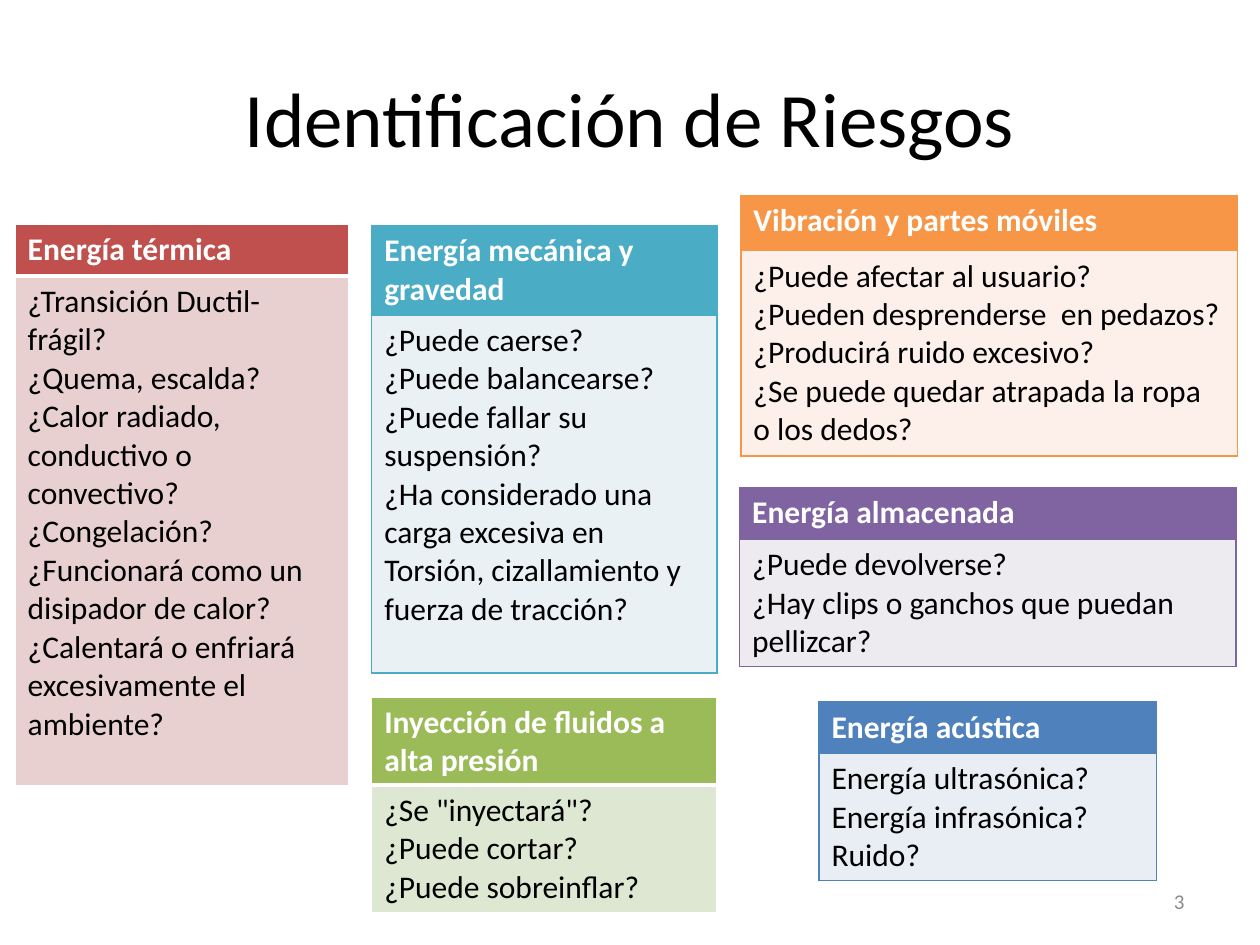
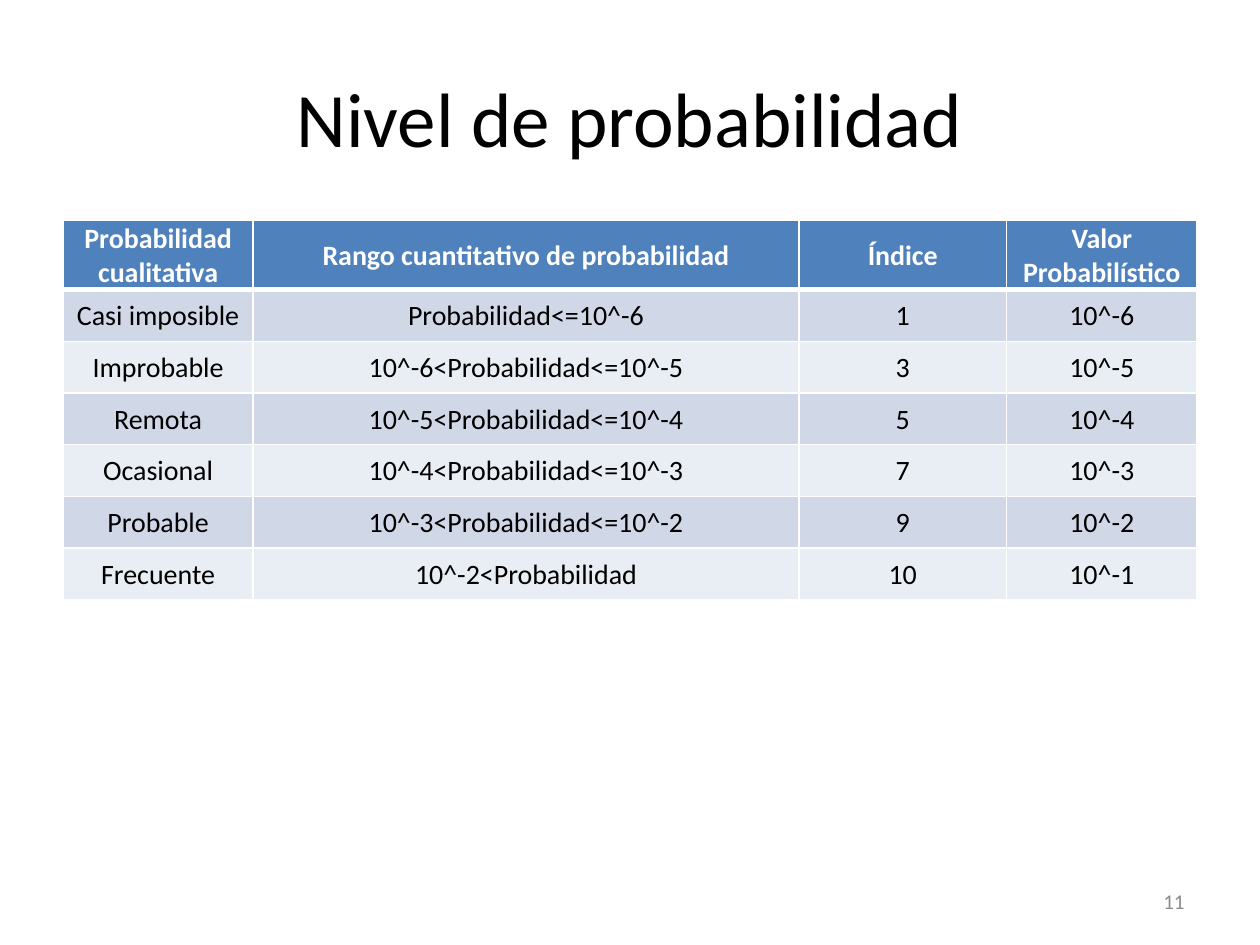
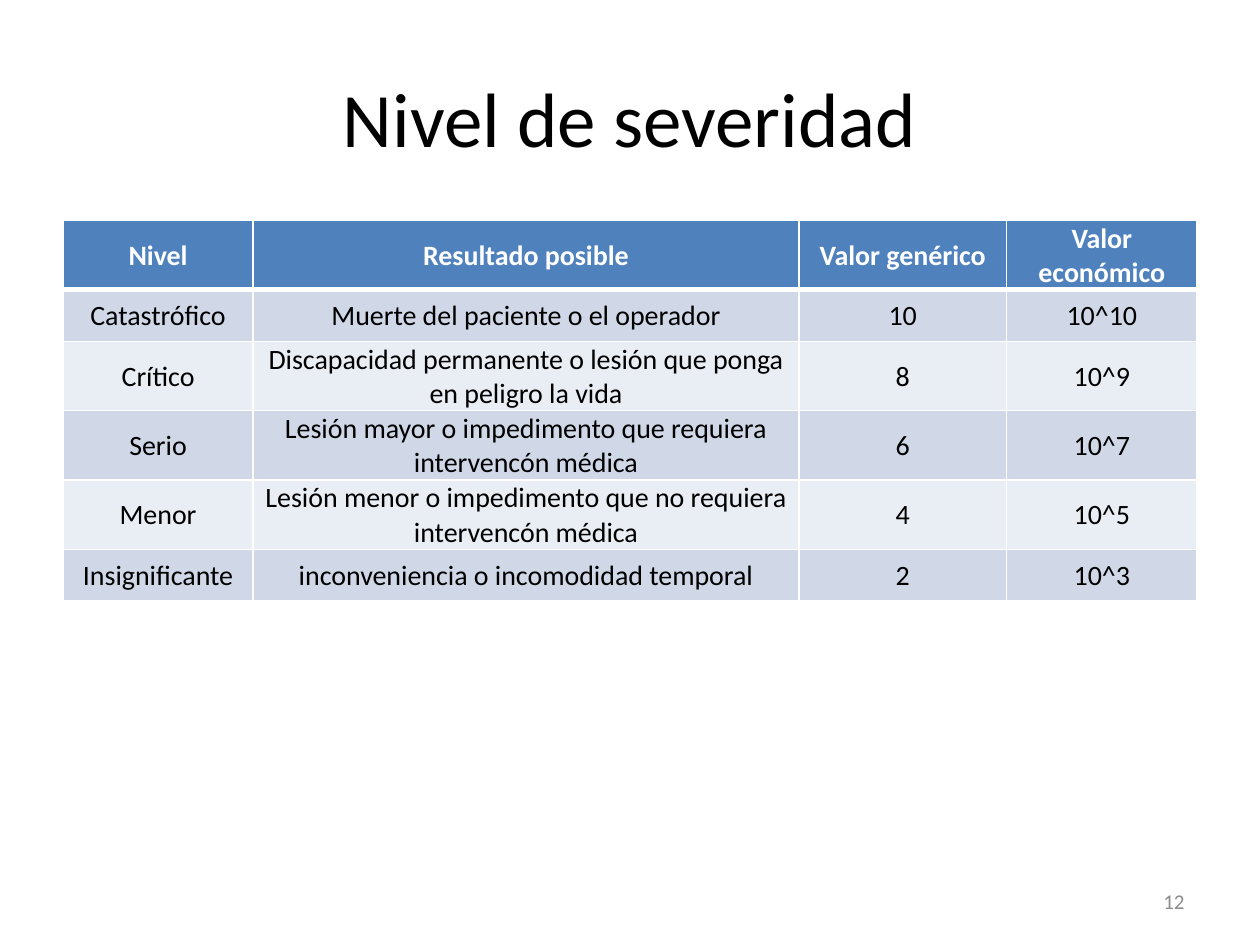
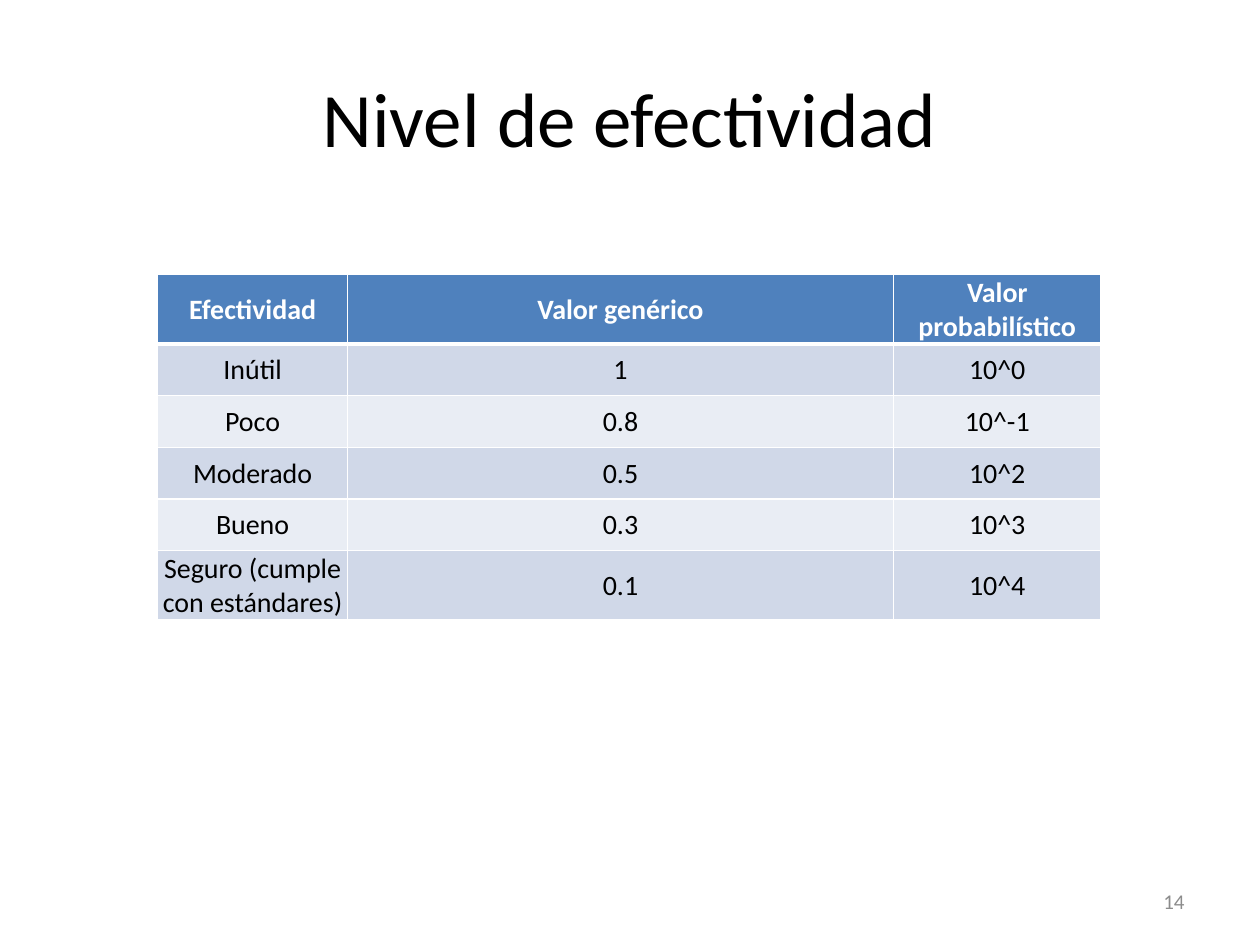
from lxml.etree import SubElement
from pptx import Presentation
from pptx.dml.color import RGBColor
from pptx.enum.text import MSO_ANCHOR, PP_ALIGN
from pptx.oxml.ns import qn
from pptx.util import Inches, Pt

FONT = "Calibri"
BLACK = RGBColor(0x00, 0x00, 0x00)
WHITE = RGBColor(0xFF, 0xFF, 0xFF)
GRAY = RGBColor(0x8C, 0x8C, 0x8C)
RED = RGBColor(0xC0, 0x50, 0x4D)
PALE_RED = RGBColor(0xE8, 0xD0, 0xD0)
TEAL = RGBColor(0x4B, 0xAC, 0xC6)
PALE_TEAL = RGBColor(0xE9, 0xF1, 0xF5)
ORANGE = RGBColor(0xF7, 0x96, 0x46)
PALE_ORANGE = RGBColor(0xFD, 0xEF, 0xE9)
PURPLE = RGBColor(0x80, 0x64, 0xA2)
PALE_PURPLE = RGBColor(0xED, 0xEA, 0xF0)
GREEN = RGBColor(0x9B, 0xBB, 0x59)
PALE_GREEN = RGBColor(0xDE, 0xE7, 0xD1)
BLUE = RGBColor(0x4F, 0x81, 0xBD)
LIGHT_BLUE = RGBColor(0xD0, 0xD8, 0xE8)
PALE_BLUE = RGBColor(0xE9, 0xED, 0xF4)

TITLE_ONLY_LAYOUT = 5
LEVEL_COLUMNS = [1.51, 4.33, 1.65, 1.51]
HEADER_HEIGHT = 0.55
ROW_HEIGHT = 0.41
TALL_ROW_HEIGHT = 0.55

RISK_CARDS = [
    (0.12, 1.78, 2.65, 0.41, 4.05, RED, PALE_RED, WHITE, "Energía térmica", [
        "¿Transición Ductil-frágil?",
        "¿Quema, escalda?",
        "¿Calor radiado, conductivo o convectivo? ¿Congelación?",
        "¿Funcionará como un disipador de calor?",
        "¿Calentará o enfriará excesivamente el ambiente?",
    ]),
    (2.95, 1.79, 2.74, 0.71, 2.84, TEAL, PALE_TEAL, TEAL, "Energía mecánica y gravedad", [
        "¿Puede caerse?",
        "¿Puede balancearse?",
        "¿Puede fallar su suspensión?",
        "¿Ha considerado una carga excesiva en Torsión, cizallamiento y fuerza de tracción?",
    ]),
    (5.88, 1.55, 3.94, 0.44, 1.63, ORANGE, PALE_ORANGE, ORANGE, "Vibración y partes móviles", [
        "¿Puede afectar al usuario?",
        "¿Pueden desprenderse  en pedazos?",
        "¿Producirá ruido excesivo?",
        "¿Se puede quedar atrapada la ropa o los dedos?",
    ]),
    (5.87, 3.87, 3.94, 0.41, 1.01, PURPLE, PALE_PURPLE, PURPLE, "Energía almacenada", [
        "¿Puede devolverse?",
        "¿Hay clips o ganchos que puedan pellizcar?",
    ]),
    (6.5, 5.57, 2.68, 0.41, 1.01, BLUE, PALE_BLUE, BLUE, "Energía acústica", [
        "Energía ultrasónica?",
        "Energía infrasónica?",
        "Ruido?",
    ]),
    (2.95, 5.53, 2.74, 0.7, 1.01, GREEN, PALE_GREEN, WHITE, "Inyección de fluidos a alta presión", [
        '¿Se "inyectará"?',
        "¿Puede cortar?",
        "¿Puede sobreinflar?",
    ]),
]

PROBABILITY_ROWS = [
    ["Probabilidad cualitativa", "Rango cuantitativo de probabilidad", "Índice", "Valor Probabilístico"],
    ["Casi imposible", "Probabilidad<=10^-6", "1", "10^-6"],
    ["Improbable", "10^-6<Probabilidad<=10^-5", "3", "10^-5"],
    ["Remota", "10^-5<Probabilidad<=10^-4", "5", "10^-4"],
    ["Ocasional", "10^-4<Probabilidad<=10^-3", "7", "10^-3"],
    ["Probable", "10^-3<Probabilidad<=10^-2", "9", "10^-2"],
    ["Frecuente", "10^-2<Probabilidad", "10", "10^-1"],
]

SEVERITY_ROWS = [
    ["Nivel", "Resultado posible", "Valor genérico", "Valor económico"],
    ["Catastrófico", "Muerte del paciente o el operador", "10", "10^10"],
    ["Crítico", "Discapacidad permanente o lesión que ponga en peligro la vida", "8", "10^9"],
    ["Serio", "Lesión mayor o impedimento que requiera intervencón médica", "6", "10^7"],
    ["Menor", "Lesión menor o impedimento que no requiera intervencón médica", "4", "10^5"],
    ["Insignificante", "inconveniencia o incomodidad temporal", "2", "10^3"],
]

EFFECTIVENESS_ROWS = [
    ["Efectividad", "Valor genérico", "Valor probabilístico"],
    ["Inútil", "1", "10^0"],
    ["Poco", "0.8", "10^-1"],
    ["Moderado", "0.5", "10^2"],
    ["Bueno", "0.3", "10^3"],
    ["Seguro (cumple con estándares)", "0.1", "10^4"],
]


def write_text(text_frame, lines, size=18, color=BLACK, bold=False, align=PP_ALIGN.LEFT):
    for index, line in enumerate(lines):
        paragraph = text_frame.paragraphs[0] if index == 0 else text_frame.add_paragraph()
        paragraph.alignment = align
        run = paragraph.add_run()
        run.text = line
        run.font.name = FONT
        run.font.size = Pt(size)
        run.font.bold = bold
        run.font.color.rgb = color


def set_borders(cell, color, bottom_width=1):
    properties = cell._tc.get_or_add_tcPr()
    for side, width in (("L", 1), ("R", 1), ("T", 1), ("B", bottom_width)):
        line = SubElement(properties, qn(f"a:ln{side}"), w=str(Pt(width)))
        fill = SubElement(line, qn("a:solidFill"))
        SubElement(fill, qn("a:srgbClr"), val=str(color))


def format_cell(cell, fill, border, bottom_width=1):
    set_borders(cell, border, bottom_width)
    cell.fill.solid()
    cell.fill.fore_color.rgb = fill


def add_plain_table(slide, left, top, column_widths, row_heights):
    frame = slide.shapes.add_table(
        len(row_heights), len(column_widths), Inches(left), Inches(top),
        Inches(sum(column_widths)), Inches(sum(row_heights)))
    table = frame.table
    table.horz_banding = False
    for column, width in zip(table.columns, column_widths):
        column.width = Inches(width)
    for row, height in zip(table.rows, row_heights):
        row.height = Inches(height)
    return table


def add_risk_card(slide, left, top, width, header_height, body_height,
                  header_fill, body_fill, border, heading, questions):
    table = add_plain_table(slide, left, top, [width], [header_height, body_height])
    header, body = table.cell(0, 0), table.cell(1, 0)
    format_cell(header, header_fill, border, bottom_width=3 if border == WHITE else 1)
    format_cell(body, body_fill, border)
    write_text(header.text_frame, [heading], color=WHITE, bold=True)
    write_text(body.text_frame, questions)


def add_level_table(slide, left, top, rows, tall_rows=()):
    heights = [HEADER_HEIGHT] + [
        TALL_ROW_HEIGHT if index in tall_rows else ROW_HEIGHT for index in range(1, len(rows))]
    table = add_plain_table(slide, left, top, LEVEL_COLUMNS[:len(rows[0])], heights)
    for row_index, values in enumerate(rows):
        is_header = row_index == 0
        band = LIGHT_BLUE if row_index % 2 else PALE_BLUE
        for column_index, value in enumerate(values):
            cell = table.cell(row_index, column_index)
            cell.margin_left = cell.margin_right = cell.margin_top = Inches(0.01)
            cell.margin_bottom = Inches(0)
            cell.vertical_anchor = MSO_ANCHOR.MIDDLE
            format_cell(cell, BLUE if is_header else band, WHITE, bottom_width=3 if is_header else 1)
            write_text(cell.text_frame, [value], size=16, color=WHITE if is_header else BLACK,
                       bold=is_header, align=PP_ALIGN.CENTER)


def add_slide_number(slide, number):
    box = slide.shapes.add_textbox(Inches(7.17), Inches(6.95), Inches(2.33), Inches(0.4))
    box.text_frame.word_wrap = True
    box.text_frame.vertical_anchor = MSO_ANCHOR.MIDDLE
    write_text(box.text_frame, [str(number)], size=12, color=GRAY, align=PP_ALIGN.RIGHT)


def add_titled_slide(presentation, title, number):
    slide = presentation.slides.add_slide(presentation.slide_layouts[TITLE_ONLY_LAYOUT])
    shape = slide.shapes.title
    shape.left, shape.top = Inches(0.5), Inches(0.3)
    shape.width, shape.height = Inches(9), Inches(1.25)
    shape.text_frame.vertical_anchor = MSO_ANCHOR.MIDDLE
    write_text(shape.text_frame, [title], size=44, align=PP_ALIGN.CENTER)
    add_slide_number(slide, number)
    return slide


def main():
    presentation = Presentation()
    presentation.slide_width = Inches(10)
    presentation.slide_height = Inches(7.5)

    risks = add_titled_slide(presentation, "Identificación de Riesgos", 3)
    for card in RISK_CARDS:
        add_risk_card(risks, *card)

    probability = add_titled_slide(presentation, "Nivel de probabilidad", 11)
    add_level_table(probability, 0.5, 1.75, PROBABILITY_ROWS)

    severity = add_titled_slide(presentation, "Nivel de severidad", 12)
    add_level_table(severity, 0.5, 1.75, SEVERITY_ROWS, tall_rows=(2, 3, 4))

    effectiveness = add_titled_slide(presentation, "Nivel de efectividad", 14)
    add_level_table(effectiveness, 1.25, 2.18, EFFECTIVENESS_ROWS, tall_rows=(5,))

    presentation.save("out.pptx")


if __name__ == "__main__":
    main()
